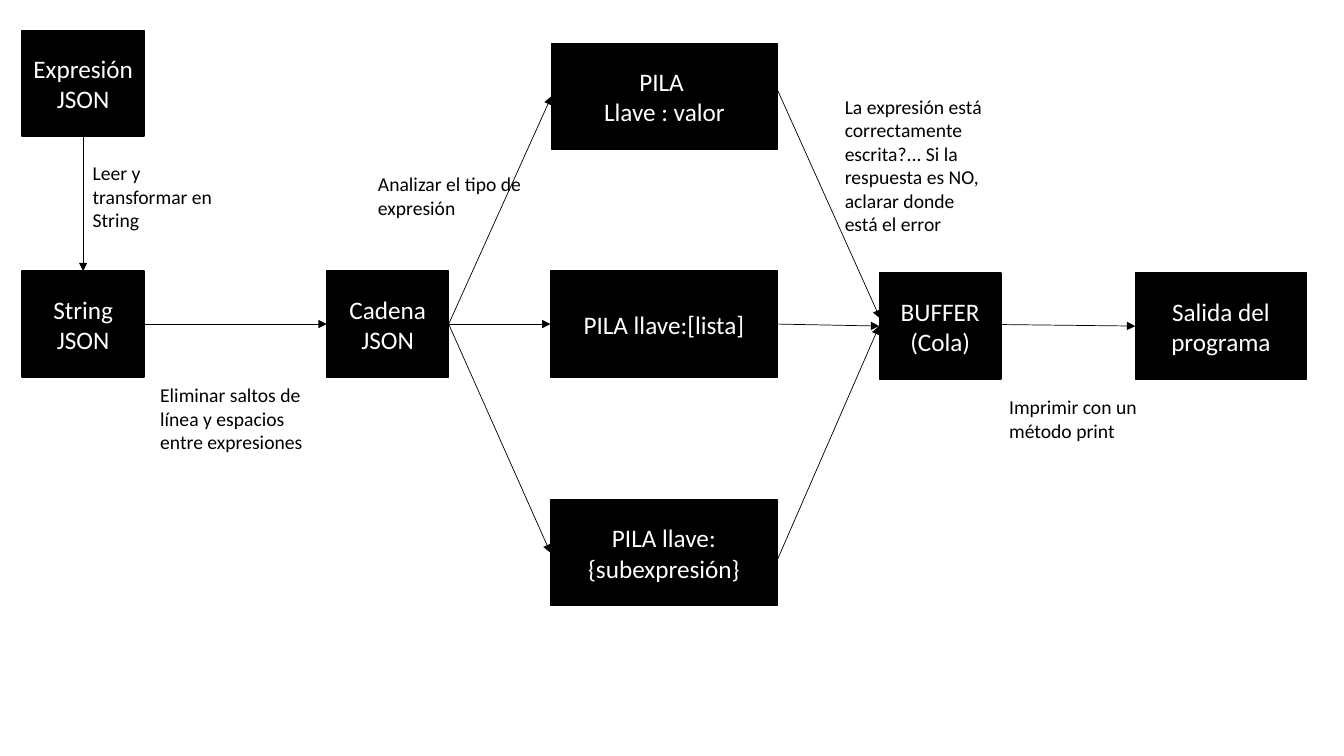
from dataclasses import dataclass
from typing import Optional

import pptx
import pptx.dml.color
import pptx.enum.shapes
import pptx.enum.text
import pptx.oxml.ns
import pptx.util
from lxml import etree
from pptx.util import Inches

COLORS = {"black": "000000", "white": "FFFFFF"}
FONT = "Calibri"
BOX_HEIGHT = 1.05
LABEL_WIDTH = 1.62
TOP, LEFT, BOTTOM, RIGHT = range(4)


@dataclass(frozen=True)
class Box:
    key: str
    text: str
    left: float
    top: float
    width: float = 1.21


@dataclass(frozen=True)
class Label:
    text: str
    left: float
    top: float
    height: float


@dataclass(frozen=True)
class Arrow:
    start: tuple[float, float]
    end: tuple[float, float]
    source: Optional[tuple[str, int]] = None
    target: Optional[tuple[str, int]] = None


BOXES = [
    Box("expression", "Expresión JSON", 0.22, 0.3),
    Box("string", "String JSON", 0.22, 2.69),
    Box("chain", "Cadena JSON", 3.24, 2.69),
    Box("value stack", "PILA \nLlave : valor", 5.47, 0.43, 2.24),
    Box("list stack", "PILA llave:[lista]", 5.46, 2.69, 2.25),
    Box("nested stack", "PILA llave:{subexpresión}", 5.46, 4.96, 2.25),
    Box("buffer", "BUFFER (Cola)", 8.72, 2.71),
    Box("output", "Salida del programa", 11.26, 2.71, 1.7),
]

LABELS = [
    Label("Leer y transformar en String", 0.82, 1.55, 0.81),
    Label("Eliminar saltos de línea y espacios entre expresiones", 1.49, 3.75, 0.81),
    Label("Analizar el tipo de expresión", 3.65, 1.66, 0.57),
    Label("Imprimir con un método print", 9.91, 3.87, 0.57),
    Label(
        "La expresión está correctamente escrita?... Si la respuesta es NO, "
        "aclarar donde está el error",
        8.28, 0.89, 1.51,
    ),
]

ARROWS = [
    Arrow((0.83, 1.35), (0.83, 2.69), ("expression", BOTTOM), ("string", TOP)),
    Arrow((1.43, 3.22), (3.24, 3.22), ("string", RIGHT), ("chain", LEFT)),
    Arrow((4.45, 3.22), (5.47, 0.96), ("chain", RIGHT), ("value stack", LEFT)),
    Arrow((4.45, 3.22), (5.46, 3.22), ("chain", RIGHT), ("list stack", LEFT)),
    Arrow((4.45, 3.22), (5.46, 5.49), ("chain", RIGHT), ("nested stack", LEFT)),
    Arrow((7.71, 3.22), (8.72, 3.24), ("list stack", RIGHT), ("buffer", LEFT)),
    Arrow((7.69, 5.6), (8.72, 3.24), None, ("buffer", LEFT)),
    Arrow((7.71, 0.89), (8.73, 3.16)),
    Arrow((9.93, 3.22), (11.26, 3.24), None, ("output", LEFT)),
]


def color(name: str) -> pptx.dml.color.RGBColor:
    return pptx.dml.color.RGBColor.from_string(COLORS[name])


def write_text(shape, text: str, *, size: float, font_color: str, align, anchor) -> None:
    frame = shape.text_frame
    frame.word_wrap = True
    frame.vertical_anchor = anchor
    frame.text = text
    for paragraph in frame.paragraphs:
        paragraph.alignment = align
        for run in paragraph.runs:
            run.font.name = FONT
            run.font.size = pptx.util.Pt(size)
            run.font.color.rgb = color(font_color)


def draw_box(slide, box: Box):
    shape = slide.shapes.add_shape(
        pptx.enum.shapes.MSO_SHAPE.RECTANGLE,
        Inches(box.left), Inches(box.top), Inches(box.width), Inches(BOX_HEIGHT),
    )
    shape.shadow.inherit = False
    shape.fill.solid()
    shape.fill.fore_color.rgb = color("black")
    shape.line.color.rgb = color("black")
    shape.line.width = pptx.util.Pt(1)
    write_text(
        shape, box.text, size=18, font_color="white",
        align=pptx.enum.text.PP_ALIGN.CENTER,
        anchor=pptx.enum.text.MSO_ANCHOR.MIDDLE,
    )
    return shape


def draw_label(slide, label: Label) -> None:
    shape = slide.shapes.add_textbox(
        Inches(label.left), Inches(label.top), Inches(LABEL_WIDTH), Inches(label.height)
    )
    write_text(
        shape, label.text, size=14, font_color="black",
        align=pptx.enum.text.PP_ALIGN.LEFT,
        anchor=pptx.enum.text.MSO_ANCHOR.TOP,
    )
    shape.text_frame.auto_size = pptx.enum.text.MSO_AUTO_SIZE.SHAPE_TO_FIT_TEXT


def draw_arrow(slide, arrow: Arrow, boxes: dict) -> None:
    connector = slide.shapes.add_connector(
        pptx.enum.shapes.MSO_CONNECTOR.STRAIGHT,
        *(Inches(value) for value in arrow.start + arrow.end),
    )
    if arrow.source:
        key, side = arrow.source
        connector.begin_connect(boxes[key], side)
    if arrow.target:
        key, side = arrow.target
        connector.end_connect(boxes[key], side)
    connector.line.color.rgb = color("black")
    connector.line.width = pptx.util.Pt(0.5)
    properties = connector._element.spPr
    line = properties.find(pptx.oxml.ns.qn("a:ln"))
    etree.SubElement(line, pptx.oxml.ns.qn("a:tailEnd"), type="triangle")
    etree.SubElement(properties, pptx.oxml.ns.qn("a:effectLst"))


def main() -> None:
    presentation = pptx.Presentation()
    presentation.slide_width = Inches(13.33)
    presentation.slide_height = Inches(7.5)
    slide = presentation.slides.add_slide(presentation.slide_layouts[6])
    boxes = {box.key: draw_box(slide, box) for box in BOXES}
    for arrow in ARROWS:
        draw_arrow(slide, arrow, boxes)
    for label in LABELS:
        draw_label(slide, label)
    presentation.save("out.pptx")


if __name__ == "__main__":
    main()
